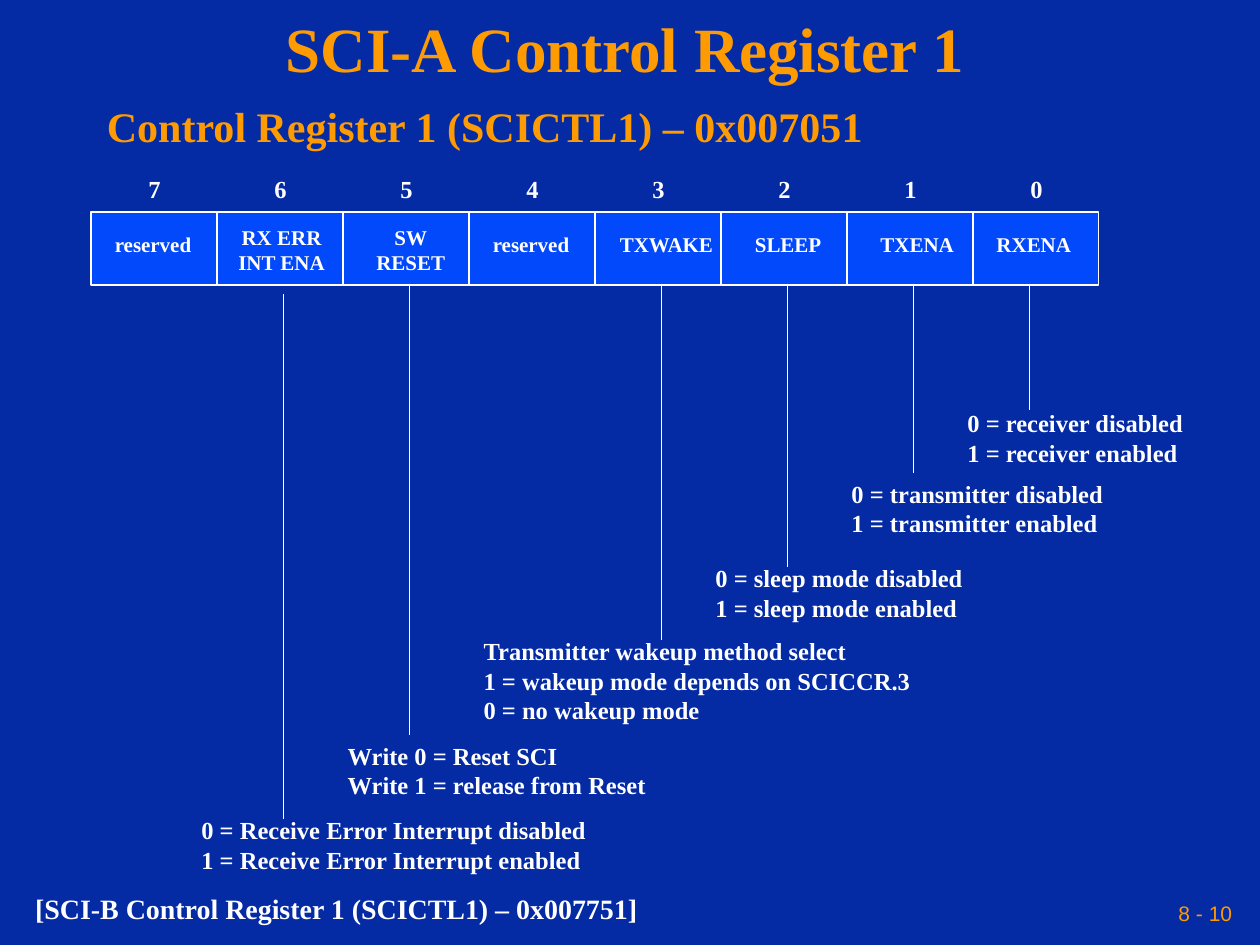
from dataclasses import dataclass

from lxml import etree
from pptx import Presentation
from pptx.dml.color import RGBColor
from pptx.enum.shapes import MSO_CONNECTOR, MSO_SHAPE
from pptx.enum.text import MSO_ANCHOR, MSO_AUTO_SIZE, PP_ALIGN
from pptx.oxml.ns import qn
from pptx.slide import Slide
from pptx.util import Inches, Pt

NAVY = RGBColor(0x04, 0x2A, 0xA4)
BLUE = RGBColor(0x02, 0x49, 0xFC)
ORANGE = RGBColor(0xFE, 0x9B, 0x03)
WHITE = RGBColor(0xFF, 0xFF, 0xFF)
RECTANGLE, STRAIGHT = MSO_SHAPE.RECTANGLE, MSO_CONNECTOR.STRAIGHT
LEFT, CENTER, RIGHT = PP_ALIGN.LEFT, PP_ALIGN.CENTER, PP_ALIGN.RIGHT
TOP, MIDDLE = MSO_ANCHOR.TOP, MSO_ANCHOR.MIDDLE
GROW, FIXED = MSO_AUTO_SIZE.SHAPE_TO_FIT_TEXT, MSO_AUTO_SIZE.NONE

WIDTH, HEIGHT = Inches(10), Inches(7.5)
COLUMNS, ROWS = 10, 7.5
REGISTER_LEFT, REGISTER_TOP, REGISTER_HEIGHT = 0.72, 1.68, 0.58

FIELDS = [
    (["reserved"], 0.81, 0.81),
    (["RX ERR", "INT ENA"], 1.78, 0.91),
    (["SW", "RESET"], 2.87, 0.78),
    (["reserved"], 3.81, 0.81),
    (["TXWAKE"], 4.81, 0.96),
    (["SLEEP"], 5.88, 0.75),
    (["TXENA"], 6.88, 0.8),
    (["RXENA"], 7.8, 0.81),
]
MEANINGS = [
    (["0 = Receive Error Interrupt disabled", "1 = Receive Error Interrupt enabled"],
     (1.5, 6.42, 3.3, 0.56)),
    (["Write 0 = Reset SCI", "Write 1 = release from Reset"], (2.66, 5.83, 2.62, 0.56)),
    (["Transmitter wakeup method select", "1 = wakeup mode depends on SCICCR.3",
      "0 = no wakeup mode"], (3.74, 5, 3.63, 0.8)),
    (["0 = sleep mode disabled", "1 = sleep mode enabled"], (5.58, 4.42, 2.2, 0.56)),
    (["0 = transmitter disabled", "1 = transmitter enabled"], (6.66, 3.75, 2.24, 0.56)),
    (["0 = receiver disabled", "1 = receiver enabled"], (7.58, 3.19, 1.96, 0.56)),
]
LEADERS = [
    (2.25, 2.33, 6.5), (3.25, 2.25, 5.83), (5.25, 2.25, 5.08),
    (6.25, 2.25, 4.5), (7.25, 2.25, 3.75), (8.17, 2.25, 3.25),
]


@dataclass
class RegisterSlide:
    """Draws register diagram parts on a slide, measured in grid columns and rows."""

    slide: Slide
    font: str = "Times New Roman"
    ink: RGBColor = WHITE
    stroke: float = 1

    def x(self, columns):
        return round(WIDTH * columns / COLUMNS)

    def y(self, rows):
        return round(HEIGHT * rows / ROWS)

    def area(self, left, top, width, height):
        return self.x(left), self.y(top), self.x(width), self.y(height)

    def background(self, color):
        fill = self.slide.background.fill
        fill.solid()
        fill.fore_color.rgb = color

    def text(self, lines, place, size, color=None, align=LEFT, anchor=TOP, font=None,
             bold=True, spacing=None, wrap=False, fit=GROW, side=0.1):
        frame = self.slide.shapes.add_textbox(*self.area(*place)).text_frame
        frame.word_wrap = wrap
        frame.auto_size = fit
        frame.vertical_anchor = anchor
        frame.margin_left = frame.margin_right = Inches(side)
        for index, line in enumerate(lines):
            paragraph = frame.add_paragraph() if index else frame.paragraphs[0]
            paragraph.alignment = align
            paragraph.line_spacing = spacing
            run = paragraph.add_run()
            run.text = line
            run.font.name = font or self.font
            run.font.size = Pt(size)
            run.font.bold = bold
            run.font.color.rgb = color or self.ink

    def cell(self, place):
        cell = self.slide.shapes.add_shape(RECTANGLE, *self.area(*place))
        cell.shadow.inherit = False
        cell.fill.solid()
        cell.fill.fore_color.rgb = BLUE
        cell.line.color.rgb = self.ink
        cell.line.width = Pt(self.stroke)

    def leader(self, column, start, end):
        leader = self.slide.shapes.add_connector(
            STRAIGHT, self.x(column), self.y(start), self.x(column), self.y(end))
        leader.line.color.rgb = self.ink
        leader.line.width = Pt(self.stroke)
        etree.SubElement(leader.element.spPr, qn("a:effectLst"))


def main():
    deck = Presentation()
    deck.slide_width, deck.slide_height = WIDTH, HEIGHT
    page = RegisterSlide(deck.slides.add_slide(deck.slide_layouts[6]))
    page.background(NAVY)
    page.text(["8 - 10"], (6.83, 7.08, 3, 0.33), 12, ORANGE, RIGHT, MIDDLE,
              font="Arial", bold=False, fit=FIXED, side=0.05)
    page.text(["SCI-A Control Register 1"], (0, 0, 9.92, 0.83), 36, ORANGE, CENTER,
              MIDDLE, spacing=0.9, wrap=True, fit=FIXED)
    page.text(["Control Register 1 (SCICTL1) – 0x007051"], (0.75, 0.75, 6.21, 0.5),
              24, ORANGE)

    for position in range(len(FIELDS)):
        page.cell((REGISTER_LEFT + position, REGISTER_TOP, 1, REGISTER_HEIGHT))
    for position, (name, left, width) in enumerate(FIELDS):
        top, height = (1.79, 0.3) if len(name) == 1 else (1.73, 0.5)
        page.text(name, (left, top, width, height), 12, align=CENTER)
        bit = len(FIELDS) - 1 - position
        page.text([str(bit)], (1.08 + position, 1.33, 0.3, 0.33), 14)

    for leader in LEADERS:
        page.leader(*leader)
    for meaning, place in MEANINGS:
        page.text(meaning, place, 14)

    page.text(["[SCI-B Control Register 1 (SCICTL1) – 0x007751]"],
              (0.18, 7.08, 4.99, 0.32), 16, spacing=0.8)
    deck.save("out.pptx")


if __name__ == "__main__":
    main()
